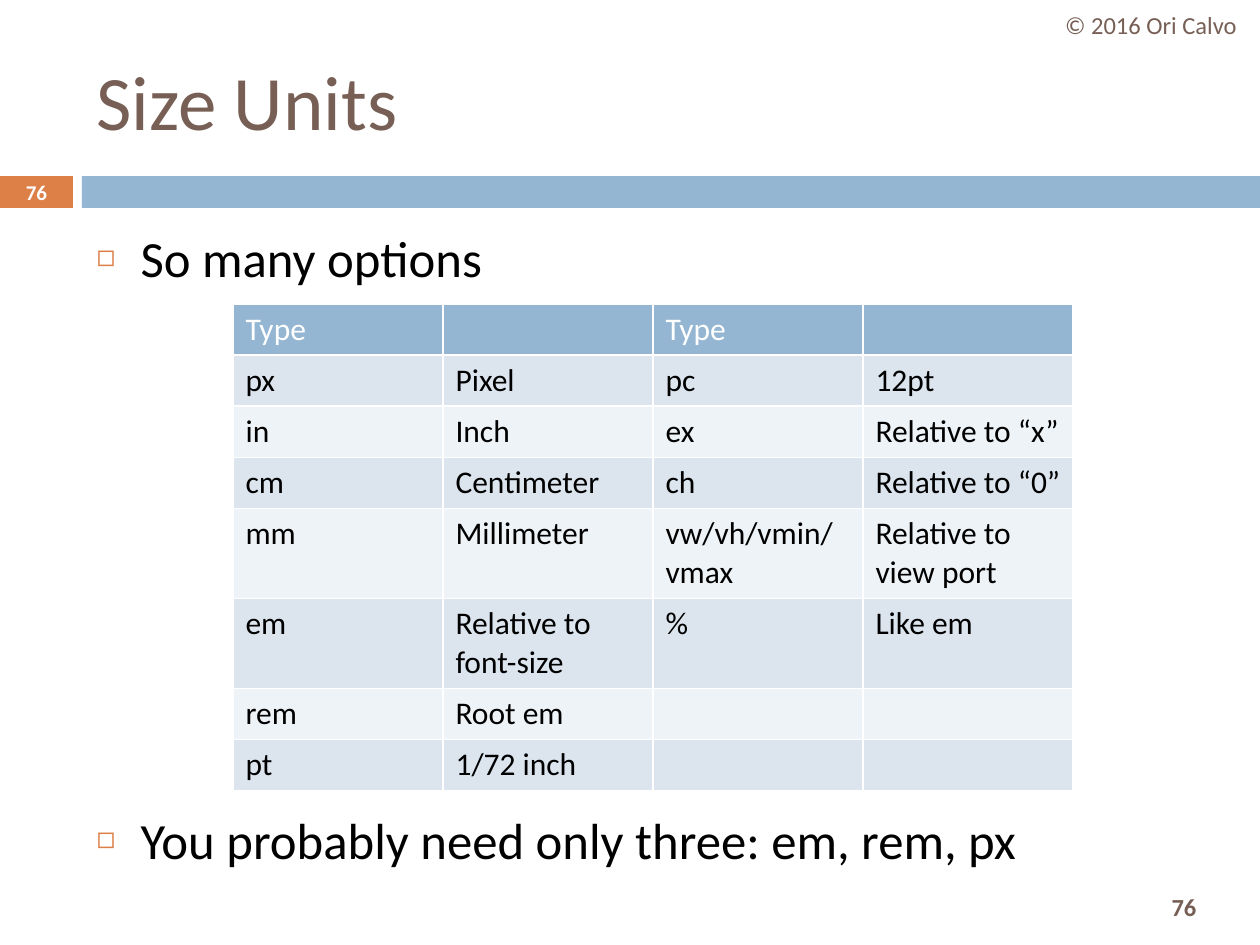
import lxml.etree
import pptx
import pptx.dml.color
import pptx.enum.shapes
import pptx.enum.text
import pptx.oxml.ns
import pptx.util

EMU_PER_PX = 914400 / 126
FONT = "Calibri"
BROWN = pptx.dml.color.RGBColor(0x77, 0x5F, 0x55)
ORANGE = pptx.dml.color.RGBColor(0xDD, 0x80, 0x47)
BLUE = pptx.dml.color.RGBColor(0x94, 0xB6, 0xD2)
BAND_DARK = pptx.dml.color.RGBColor(0xDC, 0xE5, 0xEE)
BAND_LIGHT = pptx.dml.color.RGBColor(0xEE, 0xF3, 0xF7)
WHITE = pptx.dml.color.RGBColor(0xFF, 0xFF, 0xFF)
BLACK = pptx.dml.color.RGBColor(0, 0, 0)

LEFT = pptx.enum.text.PP_ALIGN.LEFT
CENTER = pptx.enum.text.PP_ALIGN.CENTER

UNITS = [
    ["Type", "", "Type", ""],
    ["px", "Pixel", "pc", "12pt"],
    ["in", "Inch", "ex", "Relative to “x”"],
    ["cm", "Centimeter", "ch", "Relative to “0”"],
    ["mm", "Millimeter", "vw/vh/vmin/vmax", "Relative to view port"],
    ["em", "Relative to font-size", "%", "Like em"],
    ["rem", "Root em", "", ""],
    ["pt", "1/72 inch", "", ""],
]
ROW_HEIGHTS = [51, 51, 51, 51, 90, 90, 51, 51]


def px(length):
    return pptx.util.Emu(round(length * EMU_PER_PX))


def add_xml(parent, tag, **attributes):
    return lxml.etree.SubElement(parent, pptx.oxml.ns.qn(tag), attributes)


class SlideBuilder:
    def __init__(self, presentation):
        self.slide = presentation.slides.add_slide(presentation.slide_layouts[1])

    def place(self, shape, left, top, width, height):
        shape.left, shape.top = px(left), px(top)
        shape.width, shape.height = px(width), px(height)

    def style(self, paragraph, size, color, bold=False, align=LEFT):
        paragraph.alignment = align
        font = paragraph.font
        font.name, font.size, font.bold = FONT, pptx.util.Pt(size), bold
        font.color.rgb = color

    def set_text(self, shape, text, size, color, bold=False, align=CENTER):
        frame = shape.text_frame
        frame.word_wrap = True
        frame.auto_size = pptx.enum.text.MSO_AUTO_SIZE.NONE
        frame.vertical_anchor = pptx.enum.text.MSO_ANCHOR.MIDDLE
        frame.text = text
        self.style(frame.paragraphs[0], size, color, bold, align)

    def title(self, text, *box):
        shape = self.slide.shapes.title
        self.place(shape, *box)
        self.set_text(shape, text, 44, BROWN, align=LEFT)

    def bar(self, color, *box):
        shape = self.slide.shapes.add_shape(
            pptx.enum.shapes.MSO_SHAPE.RECTANGLE, *map(px, box))
        shape.shadow.inherit = False
        shape.fill.solid()
        shape.fill.fore_color.rgb = color
        shape.line.fill.background()

    def label(self, text, size, color, bold, *box):
        shape = self.slide.shapes.add_textbox(*map(px, box))
        self.set_text(shape, text, size, color, bold)

    def bullets(self, items, *box):
        """Fill the body with (text, space before in points) pairs."""
        shape = self.slide.placeholders[1]
        self.place(shape, *box)
        frame = shape.text_frame
        frame.auto_size = pptx.enum.text.MSO_AUTO_SIZE.NONE
        frame.text = "\n".join(text for text, _ in items)
        for paragraph, (_, space) in zip(frame.paragraphs, items):
            paragraph.space_before = pptx.util.Pt(space)
            properties = paragraph._p.get_or_add_pPr()
            properties.set("marL", str(px(44)))
            properties.set("indent", str(px(-44)))
            color = add_xml(properties, "a:buClr")
            add_xml(color, "a:srgbClr", val=str(ORANGE))
            add_xml(properties, "a:buSzPct", val="60000")
            add_xml(properties, "a:buChar", char="◻")
            self.style(paragraph, 29, BLACK)

    def cell_borders(self, cell):
        properties = cell._tc.get_or_add_tcPr()
        for side in ("a:lnL", "a:lnR", "a:lnT", "a:lnB"):
            line = add_xml(properties, side, w=str(pptx.util.Pt(1)))
            fill = add_xml(line, "a:solidFill")
            add_xml(fill, "a:srgbClr", val=str(WHITE))

    def table(self, rows, heights, left, top, column_width):
        columns = len(rows[0])
        table = self.slide.shapes.add_table(
            len(rows), columns, px(left), px(top),
            px(column_width * columns), px(sum(heights))).table
        for column in table.columns:
            column.width = px(column_width)
        for index, (texts, height) in enumerate(zip(rows, heights)):
            table.rows[index].height = px(height)
            band = BAND_DARK if index % 2 else BAND_LIGHT
            for cell, text in zip(table.rows[index].cells, texts):
                self.cell_borders(cell)
                cell.fill.solid()
                cell.fill.fore_color.rgb = band if index else BLUE
                cell.text = text
                self.style(cell.text_frame.paragraphs[0], 18,
                           BLACK if index else WHITE)


def main():
    presentation = pptx.Presentation()
    presentation.slide_width = px(1260)
    presentation.slide_height = px(945)
    builder = SlideBuilder(presentation)
    builder.bar(ORANGE, 0, 176, 73, 32)
    builder.bar(BLUE, 82, 176, 1178, 32)
    builder.label("76", 14, BROWN, True, 1126, 880, 116, 53)
    builder.title("Size Units", 84, 32, 1124, 136)
    builder.label("© 2016 Ori Calvo", 14, BROWN, False, 1042, 0, 218, 50)
    builder.label("76", 12, WHITE, True, 0, 175, 73, 34)
    builder.bullets([("So many options", 7),
                     ("You probably need only three: em, rem, px", 298)],
                    84, 220, 1124, 679)
    builder.table(UNITS, ROW_HEIGHTS, 233, 304, 210)
    presentation.save("out.pptx")


if __name__ == "__main__":
    main()
